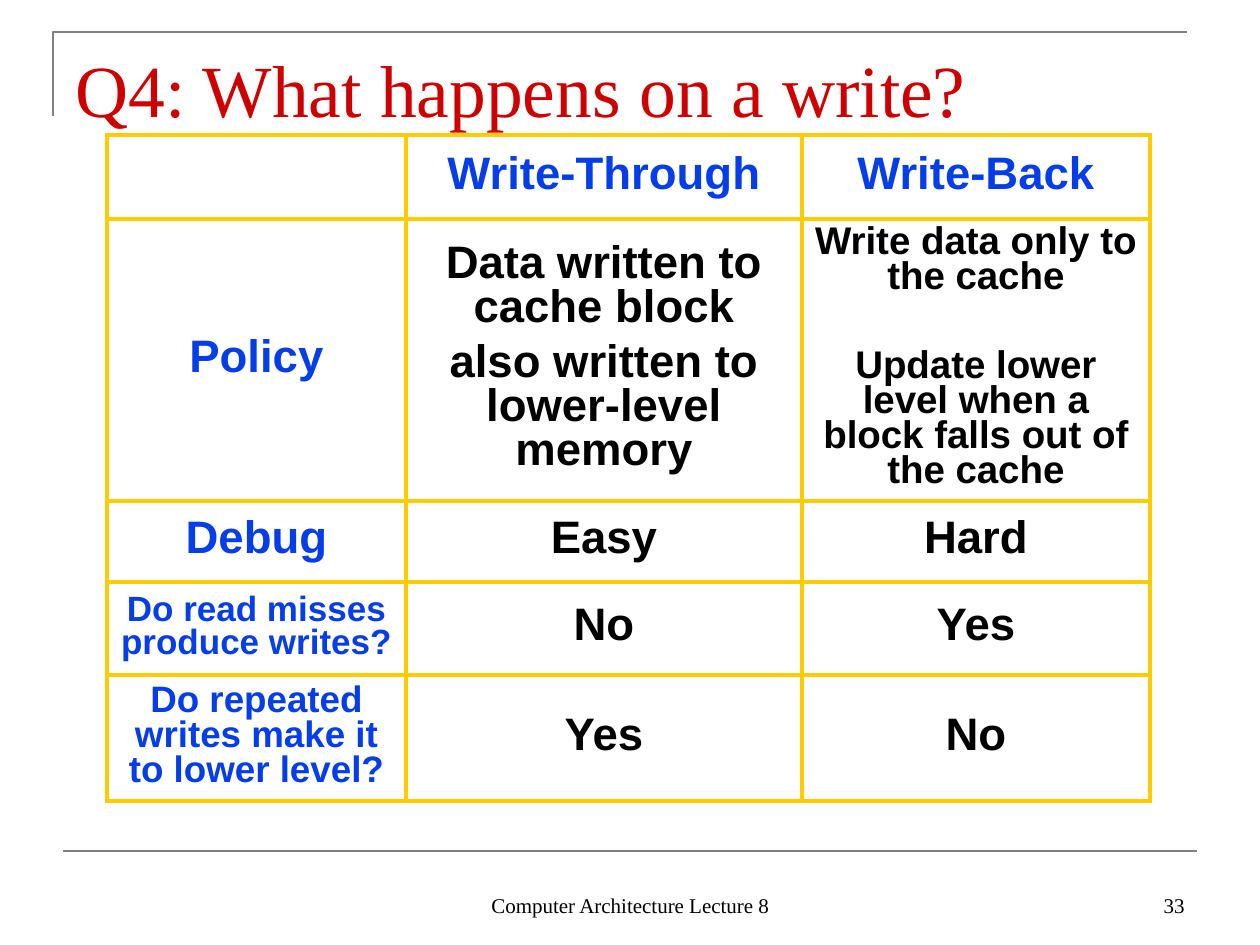
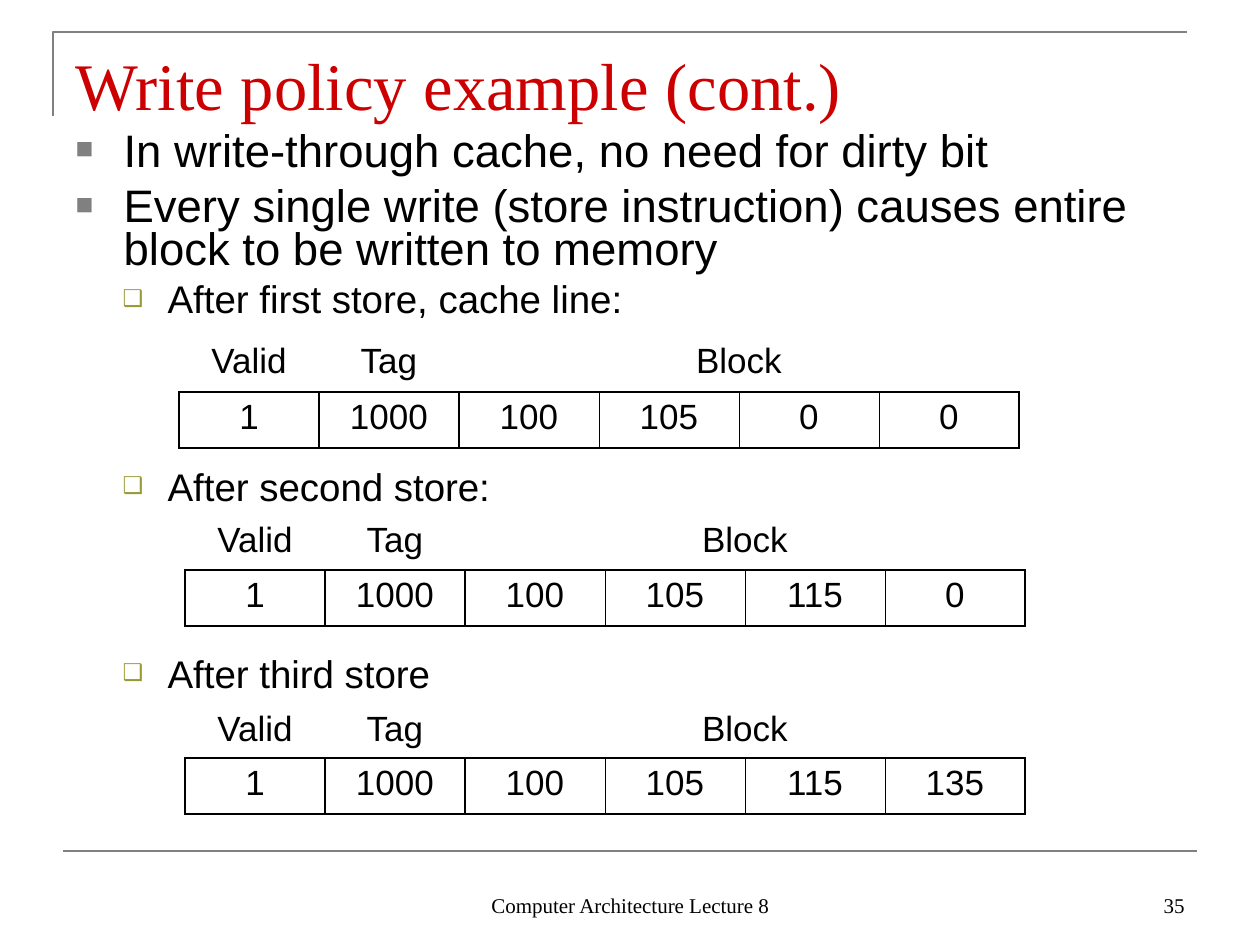
from dataclasses import dataclass

from lxml import etree
from pptx import Presentation
from pptx.dml.color import RGBColor
from pptx.enum.shapes import MSO_CONNECTOR
from pptx.enum.text import MSO_ANCHOR, MSO_AUTO_SIZE, PP_ALIGN
from pptx.oxml.ns import qn
from pptx.util import Emu, Pt

LEFT, CENTER, RIGHT = PP_ALIGN.LEFT, PP_ALIGN.CENTER, PP_ALIGN.RIGHT
TOP, MIDDLE, BOTTOM = MSO_ANCHOR.TOP, MSO_ANCHOR.MIDDLE, MSO_ANCHOR.BOTTOM
FIXED_SIZE = MSO_AUTO_SIZE.NONE
STRAIGHT = MSO_CONNECTOR.STRAIGHT
TITLE_AND_CONTENT, TITLE_ONLY = 1, 5
PX = 914400 / 126
PLAIN_TABLE = "{2D5ABB26-0587-4C30-8999-92F81FD0307C}"


@dataclass(frozen=True)
class Theme:
    serif: str = "Times New Roman"
    sans: str = "Arial"
    ink: str = "000000"
    title: str = "CC0000"
    frame: str = "808080"
    heading: str = "053DE8"
    grid: str = "FFCC00"
    sub_bullet: str = "999933"
    footer_size: int = 12
    cell_size: int = 20
    policy_size: int = 26
    list_sizes: tuple = (26, 22)
    frame_width: float = 1.5
    grid_width: float = 2.5
    cell_width: float = 1.08
    hairline: float = 0.45


@dataclass(frozen=True)
class Bullet:
    symbol: str
    color: str
    percent: int
    margin: int
    hang: int
    gap: float


def px(length):
    return Emu(round(length * PX))


def add_xml(parent, tag, **attributes):
    return etree.SubElement(parent, qn(tag), attributes)


class Page:
    def __init__(self, deck, theme):
        self.deck = deck
        self.theme = theme
        self.slide = None
        self.bullets = (
            Bullet("■", theme.frame, 65, 48, 48, 6.5),
            Bullet("❑", theme.sub_bullet, 60, 92, 45, 5.5),
        )

    def start(self, layout, title, title_size, number):
        self.slide = self.deck.slides.add_slide(self.deck.slide_layouts[layout])
        self.frame()
        self.footer("Computer Architecture Lecture 8", (431, 861, 399, 63), CENTER)
        self.footer(number, (903, 861, 294, 63), RIGHT)
        frame = self.place(self.slide.shapes.title, (63, 38, 1134, 98))
        self.fill_para(frame.paragraphs[0], title, title_size, self.theme.title,
                       self.theme.serif, LEFT)

    def place(self, shape, area):
        shape.left, shape.top, shape.width, shape.height = map(px, area)
        frame = shape.text_frame
        frame.word_wrap = True
        frame.auto_size = FIXED_SIZE
        frame.vertical_anchor = TOP
        return frame

    def fill_para(self, para, text, size, color, family, align, bold=False):
        para.text = text
        para.alignment = align
        font = para.font
        font.size, font.name, font.bold = Pt(size), family, bold
        font.color.rgb = RGBColor.from_string(color)

    def line_style(self, shape):
        shape.line.color.rgb = RGBColor.from_string(self.theme.frame)
        shape.line.width = Pt(self.theme.frame_width)

    def frame(self):
        shapes = self.slide.shapes
        builder = shapes.build_freeform(53, 116, scale=PX)
        builder.add_line_segments([(53, 32), (1187, 32)], close=False)
        corner = builder.convert_to_shape()
        corner.fill.background()
        corner.shadow.inherit = False
        self.line_style(corner)
        rule = shapes.add_connector(STRAIGHT, px(63), px(851), px(1197), px(851))
        self.line_style(rule)
        add_xml(rule._element.spPr, "a:effectLst")

    def footer(self, text, area, align):
        box = self.slide.shapes.add_textbox(*map(px, area))
        frame = box.text_frame
        frame.word_wrap = True
        frame.vertical_anchor = BOTTOM
        self.fill_para(frame.paragraphs[0], text, self.theme.footer_size,
                       self.theme.ink, self.theme.serif, align)

    def bullet_list(self, items, area):
        frame = self.place(self.slide.placeholders[1], area)
        for index, (level, text, gap) in enumerate(items):
            para = frame.paragraphs[0] if index == 0 else frame.add_paragraph()
            bullet = self.bullets[level]
            para.level = level
            properties = para._p.get_or_add_pPr()
            properties.set("marL", str(px(bullet.margin)))
            properties.set("indent", str(px(-bullet.hang)))
            color = add_xml(properties, "a:buClr")
            add_xml(color, "a:srgbClr", val=bullet.color)
            add_xml(properties, "a:buSzPct", val=str(bullet.percent * 1000))
            add_xml(properties, "a:buFont", typeface=self.theme.sans)
            add_xml(properties, "a:buChar", char=bullet.symbol)
            para.line_spacing = 0.8
            para.space_before = Pt(0 if index == 0 else gap or bullet.gap)
            self.fill_para(para, text, self.theme.list_sizes[level],
                           self.theme.ink, self.theme.sans, LEFT)

    def table(self, left, top, columns, rows):
        shape = self.slide.shapes.add_table(
            len(rows), len(columns), px(left), px(top), px(sum(columns)), px(sum(rows)))
        table = shape.table
        table.first_row = table.horz_banding = False
        table._tbl.tblPr.find(qn("a:tableStyleId")).text = PLAIN_TABLE
        for column, width in zip(table.columns, columns):
            column.width = px(width)
        for row, height in zip(table.rows, rows):
            row.height = px(height)
        return table

    def borders(self, cell, color, **widths):
        properties = cell._tc.get_or_add_tcPr()
        for side in "LRTB":
            if side in widths:
                line = add_xml(properties, f"a:ln{side}", w=str(Pt(widths[side])))
                fill = add_xml(line, "a:solidFill")
                add_xml(fill, "a:srgbClr", val=color)
        cell.fill.background()

    def policy_table(self, left, top, columns, rows, content):
        theme = self.theme
        table = self.table(left, top, columns, rows)
        sides = dict.fromkeys("LRTB", theme.grid_width)
        for row, entries in enumerate(content):
            for column, entry in enumerate(entries):
                cell = table.cell(row, column)
                self.borders(cell, theme.grid, **sides)
                cell.vertical_anchor = MIDDLE
                color = theme.ink if row and column else theme.heading
                texts, size, spacing, gap = entry if isinstance(entry, tuple) else (
                    [entry], theme.policy_size, 25, 0)
                frame = cell.text_frame
                for index, text in enumerate(texts):
                    para = frame.add_paragraph() if index else frame.paragraphs[0]
                    para.line_spacing = Pt(spacing)
                    para.space_before = Pt(gap if index else 0)
                    self.fill_para(para, text, size, color, theme.sans, CENTER, True)

    def cache_line(self, left, top, header_height, values):
        theme = self.theme
        table = self.table(left, top, [140] * len(values), [header_height, 56])
        last = len(values) - 1
        table.cell(0, 2).merge(table.cell(0, last))
        for column in range(len(values)):
            self.borders(table.cell(0, column), theme.ink, B=theme.cell_width)
            self.borders(
                table.cell(1, column), theme.ink,
                L=theme.hairline if column > 2 else theme.cell_width,
                R=theme.hairline if 2 <= column < last else theme.cell_width,
                T=theme.cell_width, B=theme.cell_width)
        for row, texts in enumerate((("Valid", "Tag", "Block"), values)):
            for column, text in enumerate(texts):
                para = table.cell(row, column).text_frame.paragraphs[0]
                self.fill_para(para, text, theme.cell_size, theme.ink, theme.sans, CENTER)


def build_policies(page):
    page.start(TITLE_ONLY, "Q4: What happens on a write?", 42, "33")
    through = ["Data written to cache block", "also written to lower-level memory"]
    back = ["Write data only to the cache",
            "Update lower level when a block falls out of the cache"]
    page.policy_table(107, 135, [299, 396, 348], [84, 282, 81, 93, 126], [
        ["", "Write-Through", "Write-Back"],
        ["Policy", (through, 26, 25, 6.5), (back, 22, 20, 31)],
        ["Debug", "Easy", "Hard"],
        [(["Do read misses produce writes?"], 20, 19, 0), "No", "Yes"],
        [(["Do repeated writes make it to lower level?"], 21, 20, 0), "Yes", "No"],
    ])


def build_example(page):
    page.start(TITLE_AND_CONTENT, "Write policy example (cont.)", 38, "35")
    table_gap = 86
    page.bullet_list([
        (0, "In write-through cache, no need for dirty bit", None),
        (0, "Every single write (store instruction) causes entire block "
            "to be written to memory", None),
        (1, "After first store, cache line:", None),
        (1, "After second store:", table_gap),
        (1, "After third store", table_gap),
    ], (63, 126, 1134, 620))
    page.cache_line(179, 336, 56, ["1", "1000", "100", "105", "0", "0"])
    page.cache_line(185, 514, 56, ["1", "1000", "100", "105", "115", "0"])
    page.cache_line(185, 703, 55, ["1", "1000", "100", "105", "115", "135"])


def main():
    deck = Presentation()
    deck.slide_width, deck.slide_height = px(1260), px(945)
    page = Page(deck, Theme())
    build_policies(page)
    build_example(page)
    deck.save("out.pptx")


if __name__ == "__main__":
    main()
